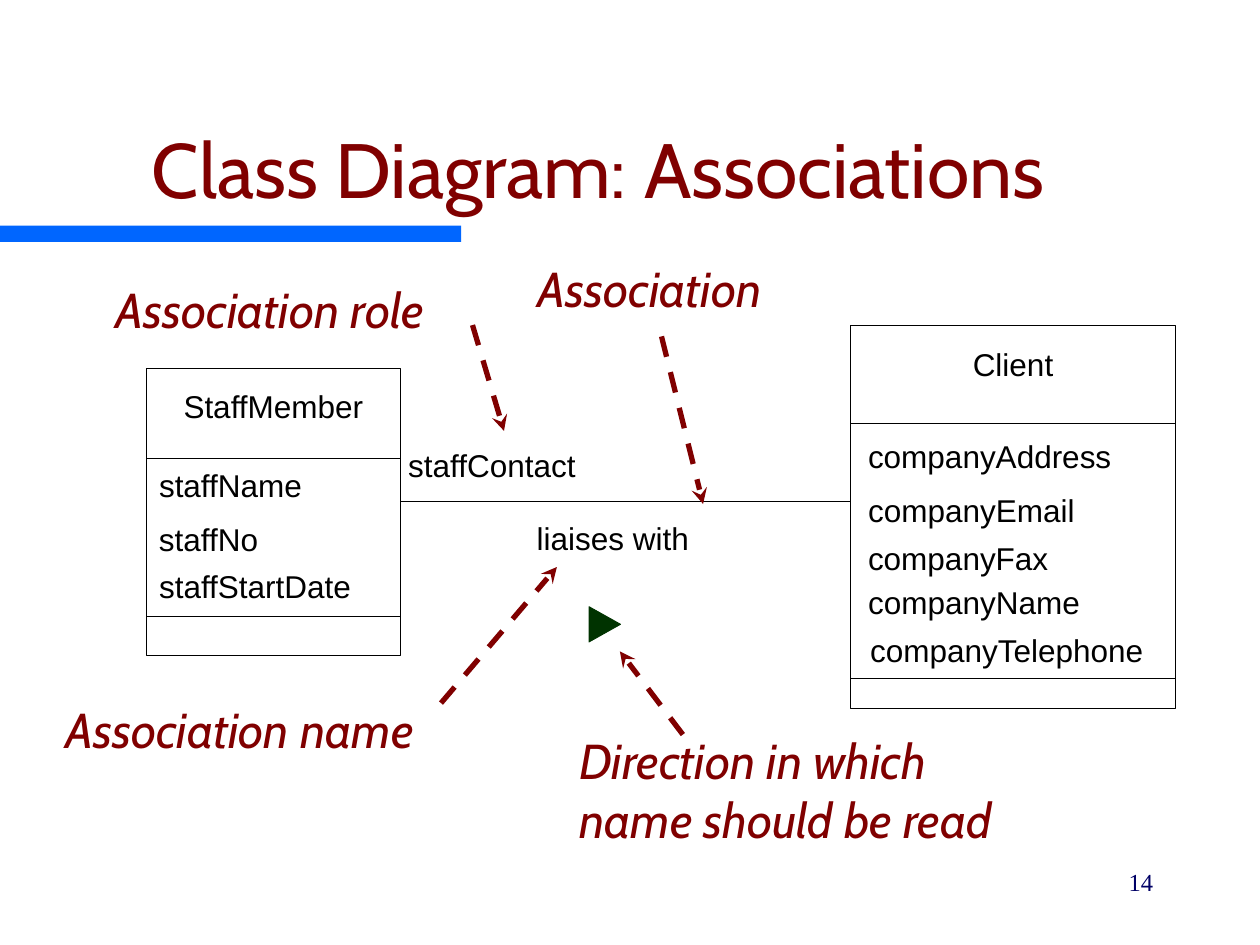
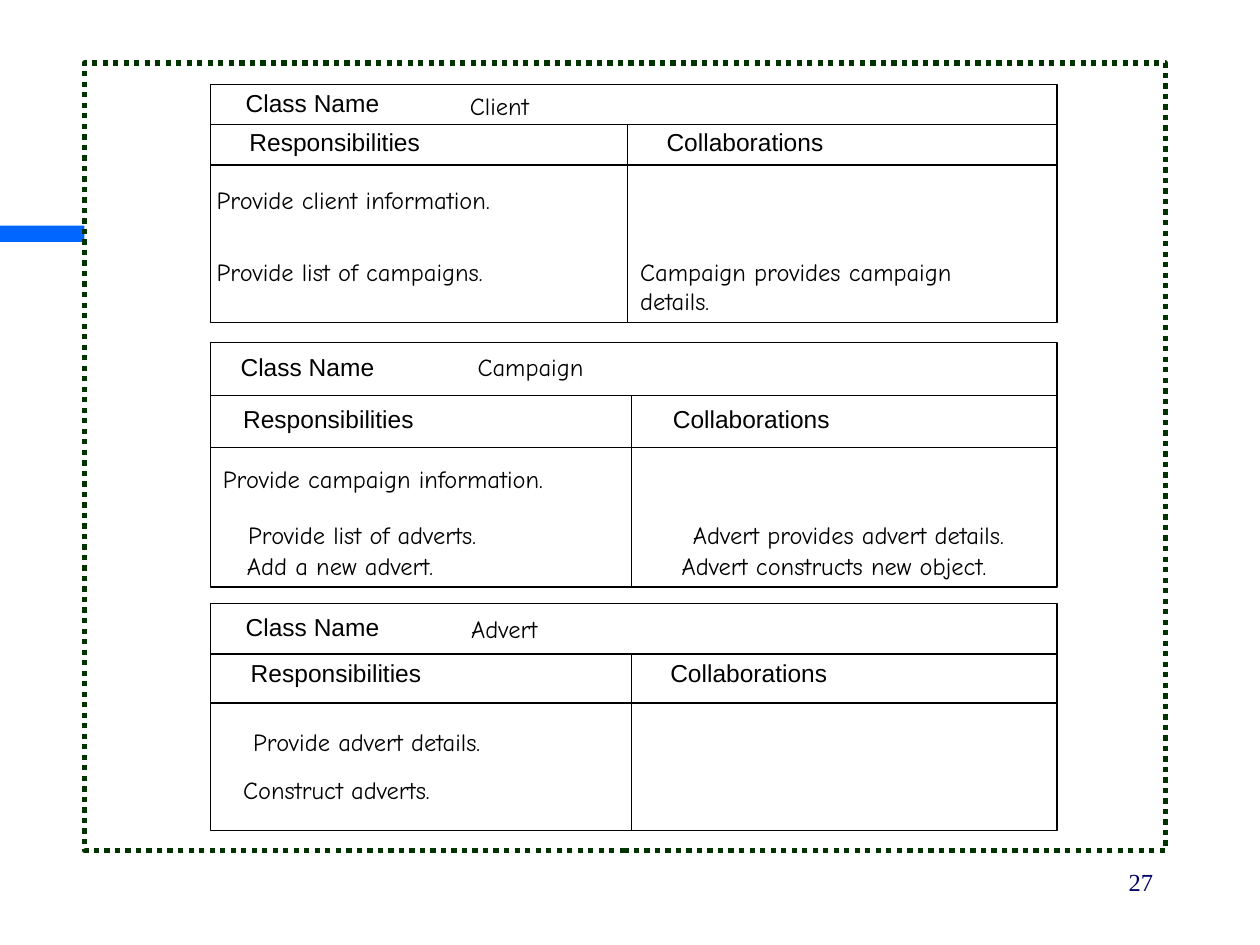
import pptx
import pptx.util
import pptx.dml.color
import pptx.enum.dml
import pptx.enum.shapes
import pptx.enum.text
import pptx.oxml.ns
import lxml.etree

COLORS = {
    "band": "0066FF",
    "maroon": "800000",
    "green": "003300",
    "navy": "000066",
    "black": "000000",
    "white": "FFFFFF",
}
FONTS = {"note": "Cabin", "label": "Arial", "card": "Comic Neue", "number": "Times New Roman"}
SHAPES = pptx.enum.shapes.MSO_SHAPE
DASHES = pptx.enum.dml.MSO_LINE
ALIGN = pptx.enum.text.PP_ALIGN

presentation = pptx.Presentation()
presentation.slide_width = pptx.util.Inches(10)
presentation.slide_height = pptx.util.Inches(7.5)
COLUMN = presentation.slide_width / 100
ROW = presentation.slide_height / 75


def write(shape, text, font="label", size=18, color="black", align=ALIGN.LEFT,
          italic=False, wrap=False, inset=(0, 0), anchor=pptx.enum.text.MSO_ANCHOR.TOP):
    frame = shape.text_frame
    frame.auto_size = pptx.enum.text.MSO_AUTO_SIZE.NONE
    frame.word_wrap = wrap
    frame.vertical_anchor = anchor
    frame.margin_left = frame.margin_right = int(inset[0] * COLUMN)
    frame.margin_top = frame.margin_bottom = int(inset[1] * ROW)
    paragraph = frame.paragraphs[0]
    paragraph.alignment = align
    run = paragraph.add_run()
    run.text = text
    run.font.name = FONTS[font]
    run.font.size = pptx.util.Pt(size)
    run.font.italic = italic
    run.font.color.rgb = pptx.dml.color.RGBColor.from_string(COLORS[color])


def draw(slide, kind, left, top, width, height, fill=None, line=None,
         weight=0.75, dash=None, arrow=False):
    box = [int(left * COLUMN), int(top * ROW), int(width * COLUMN), int(height * ROW)]
    if kind == "text":
        return slide.shapes.add_textbox(*box)
    if kind == "line":
        shape = slide.shapes.add_connector(
            pptx.enum.shapes.MSO_CONNECTOR.STRAIGHT,
            box[0], box[1], box[0] + box[2], box[1] + box[3])
    else:
        shape = slide.shapes.add_shape(kind, *box)
        shape.shadow.inherit = False
        if fill:
            shape.fill.solid()
            shape.fill.fore_color.rgb = pptx.dml.color.RGBColor.from_string(COLORS[fill])
        else:
            shape.fill.background()
    if line:
        shape.line.color.rgb = pptx.dml.color.RGBColor.from_string(COLORS[line])
        shape.line.width = pptx.util.Pt(weight)
        if dash:
            shape.line.dash_style = dash
    else:
        shape.line.fill.background()
    if arrow:
        outline = shape.line._get_or_add_ln()
        lxml.etree.SubElement(outline, pptx.oxml.ns.qn("a:tailEnd"), type="stealth")
    if kind == "line":
        lxml.etree.SubElement(shape._element.spPr, pptx.oxml.ns.qn("a:effectLst"))
    return shape


diagram = presentation.slides.add_slide(presentation.slide_layouts[5])
crc_cards = presentation.slides.add_slide(presentation.slide_layouts[6])

for slide, number in ((diagram, "14"), (crc_cards, "27")):
    draw(slide, SHAPES.RECTANGLE, 0, 17.9, 36.6, 1.3, fill="band")
    write(draw(slide, "text", 71.7, 68.3, 20.8, 5), number, font="number", size=14,
          color="navy", align=ALIGN.RIGHT, wrap=True, inset=(1, 0.5))

title = diagram.shapes.title
title.left, title.top = int(2.5 * COLUMN), int(5 * ROW)
title.width, title.height = int(90 * COLUMN), int(12.5 * ROW)
write(title, "Class Diagram: Associations", font="note", size=44, color="maroon",
      align=ALIGN.CENTER, wrap=True, inset=(1, 0.5),
      anchor=pptx.enum.text.MSO_ANCHOR.BOTTOM)

classes = [
    (11.6, 29.2, 20.2, 22.8, (36.4, 48.9), "StaffMember", 30.7, 12.6,
     [("staffName", 37, 11.4), ("staffNo", 41.3, 7.9), ("staffStartDate", 45, 15.3)]),
    (67.5, 25.8, 25.8, 30.4, (33.6, 53.8), "Client", 27.4, 68.9,
     [("companyAddress", 34.7, 19.3), ("companyEmail", 39, 16.4),
      ("companyFax", 42.8, 14.3), ("companyName", 46.3, 16.8),
      ("companyTelephone", 50.1, 22)]),
]
for left, top, width, height, dividers, name, name_top, indent, attributes in classes:
    draw(diagram, SHAPES.RECTANGLE, left, top, width, height, line="black", weight=0.37)
    for divider in dividers:
        draw(diagram, "line", left, divider, width, 0, line="black", weight=0.37)
    write(draw(diagram, "text", left, name_top, width, 3), name, align=ALIGN.CENTER)
    for attribute, attribute_top, attribute_width in attributes:
        write(draw(diagram, "text", indent, attribute_top, attribute_width, 3),
              attribute, align=ALIGN.CENTER)

draw(diagram, "line", 31.8, 39.8, 35.7, 0, line="black", weight=0.37)
for label, left, top, width in (("liaises with", 42.6, 41.2, 12.1),
                                ("staffContact", 32.4, 35.4, 13.3)):
    write(draw(diagram, "text", left, top, width, 3), label)

direction = draw(diagram, SHAPES.ISOSCELES_TRIANGLE, 46.6, 48.3, 2.8, 2.5,
                 fill="green", line="green", weight=0.5)
direction.rotation = 90

callouts = [
    ("Association role", (8.2, 21.7, 29.1, 5.7), (37.5, 25.8, 2.5, 8.4)),
    ("Association", (41.7, 20, 25, 5.7), (52.5, 26.7, 3.3, 13.3)),
    ("Association name", (4.2, 55, 37.5, 5.7), (35, 55.8, 9.2, -10.8)),
    ("Direction in which name should be read", (45, 57.5, 38.3, 15), (54.2, 58.3, -5, -6.6)),
]
for caption, caption_box, pointer in callouts:
    write(draw(diagram, "text", *caption_box), caption, font="note", size=28,
          color="maroon", italic=True, wrap=True, inset=(1, 0.5))
    draw(diagram, "line", *pointer, line="maroon", weight=3, dash=DASHES.DASH, arrow=True)

draw(crc_cards, SHAPES.RECTANGLE, 6.7, 5, 85.8, 62.5, fill="white", line="green",
     weight=3, dash=DASHES.ROUND_DOT)

CARD_LEFT, CARD_WIDTH = 16.7, 67.2
cards = [
    (6.7, 18.9, (9.9, 13.1), 49.8,
     [("Class Name", 19.5, 7), ("Responsibilities", 19.8, 10.1), ("Collaborations", 52.9, 10.1)],
     [("Client", 37.3, 7.2, 10), ("Provide client information.", 17.2, 14.7, 28.2),
      ("Provide list of campaigns.", 17.2, 20.4, 28.2),
      ("Campaign provides campaign details.", 50.8, 20.4, 29.8)]),
    (27.2, 19.4, (31.4, 35.5), 50.1,
     [("Class Name", 19.1, 27.9), ("Responsibilities", 19.3, 32.1), ("Collaborations", 53.4, 32.1)],
     [("Campaign", 37.9, 27.9, 12), ("Provide campaign information.", 17.7, 36.8, 30.4),
      ("Provide list of adverts.", 19.7, 41.3, 28), ("Add a new advert.", 19.6, 43.7, 28),
      ("Advert provides advert details.", 55, 41.3, 28),
      ("Advert constructs new object.", 54.1, 43.7, 28)]),
    (47.9, 18, (51.9, 55.8), 50.1,
     [("Class Name", 19.5, 48.6), ("Responsibilities", 19.9, 52.2), ("Collaborations", 53.2, 52.2)],
     [("Advert", 37.4, 48.7, 10), ("Provide advert details.", 20.1, 57.7, 28),
      ("Construct adverts.", 19.3, 61.5, 28)]),
]
for top, height, rules, split, headings, entries in cards:
    draw(crc_cards, SHAPES.RECTANGLE, CARD_LEFT, top, CARD_WIDTH, height, line="black")
    for rule in rules:
        draw(crc_cards, "line", CARD_LEFT, rule, CARD_WIDTH, 0, line="black")
    draw(crc_cards, "line", split, rules[0], 0, top + height - rules[0], line="black")
    for heading, left, heading_top in headings:
        write(draw(crc_cards, "text", left, heading_top, 15, 2.3), heading, size=14, wrap=True)
    for entry, left, entry_top, width in entries:
        write(draw(crc_cards, "text", left, entry_top, width, 2.3), entry,
              font="card", size=14, wrap=True)

presentation.save("out.pptx")
